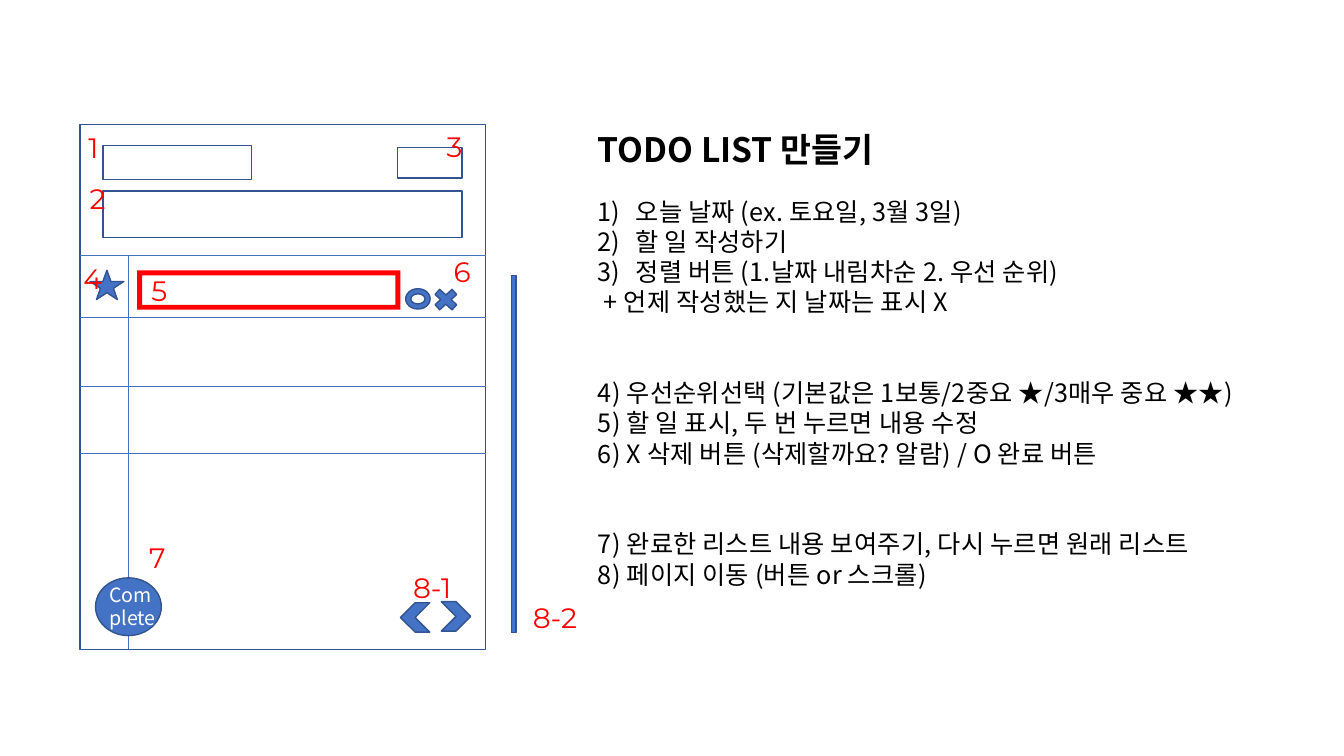
import pptx
import pptx.dml.color
import pptx.enum.shapes
import pptx.enum.text
import pptx.oxml.ns
import pptx.util
from lxml import etree

Pt = pptx.util.Pt
RGBColor = pptx.dml.color.RGBColor
SHAPE = pptx.enum.shapes.MSO_SHAPE
qn = pptx.oxml.ns.qn

BLUE = RGBColor(0x44, 0x72, 0xC4)
NAVY = RGBColor(0x32, 0x54, 0x91)
RED = RGBColor(0xFF, 0x00, 0x00)
BLACK = RGBColor(0x00, 0x00, 0x00)
WHITE = RGBColor(0xFF, 0xFF, 0xFF)

KOREAN = "Noto Sans CJK KR"
NUMERAL = "Montserrat"


def apply_formats(target, formats):
    for name, value in formats.items():
        setattr(target, name, value)


class Sketch:
    """Draws on one slide in the wireframe style; lengths are in points."""

    def __init__(self, slide):
        self.slide = slide

    def shape(self, kind, left, top, width, height, fill=None, line=NAVY, rotation=0):
        shape = self.slide.shapes.add_shape(
            kind, Pt(left), Pt(top), Pt(width), Pt(height))
        shape.shadow.inherit = False
        shape.rotation = rotation
        if fill is None:
            shape.fill.background()
        else:
            shape.fill.solid()
            shape.fill.fore_color.rgb = fill
        if line is None:
            shape.line.fill.background()
        else:
            shape.line.color.rgb = line
            shape.line.width = Pt(1)
        return shape

    def rule(self, x1, y1, x2, y2):
        connector = self.slide.shapes.add_connector(
            pptx.enum.shapes.MSO_CONNECTOR.STRAIGHT, Pt(x1), Pt(y1), Pt(x2), Pt(y2))
        connector.line.color.rgb = BLUE
        connector.line.width = Pt(0.5)
        properties = connector._element.find(qn("p:spPr"))
        etree.SubElement(properties, qn("a:effectLst"))
        return connector

    def text(self, left, top, width, height, lines, size, color,
             font=KOREAN, bold=False, leading=None, tracking=0):
        box = self.slide.shapes.add_textbox(Pt(left), Pt(top), Pt(width), Pt(height))
        frame = box.text_frame
        apply_formats(frame, {
            "word_wrap": True,
            "auto_size": pptx.enum.text.MSO_AUTO_SIZE.SHAPE_TO_FIT_TEXT,
        })
        for index, line in enumerate(lines):
            paragraph = frame.paragraphs[0] if index == 0 else frame.add_paragraph()
            if leading:
                paragraph.line_spacing = Pt(leading)
            run = paragraph.add_run()
            run.text = line
            apply_formats(run.font, {"name": font, "size": Pt(size), "bold": bold})
            run.font.color.rgb = color
            properties = run._r.get_or_add_rPr()
            if tracking:
                properties.set("spc", str(round(tracking * 100)))
            east_asian = etree.SubElement(properties, qn("a:ea"))
            east_asian.set("typeface", font)
        return frame.paragraphs

    def number(self, paragraph, indent):
        properties = paragraph._p.get_or_add_pPr()
        properties.set("marL", str(Pt(indent)))
        properties.set("indent", str(-Pt(indent)))
        numbering = etree.SubElement(properties, qn("a:buAutoNum"))
        numbering.set("type", "arabicParenR")


def draw_wireframe(sketch):
    # App window with its input boxes
    left, top, width, height = 57.25, 88.75, 289.75, 375
    right, bottom = left + width, top + height
    window = sketch.shape(SHAPE.RECTANGLE, left, top, width, height)
    for box in ((73.5, 136.5, 256.5, 33), (73.5, 103.75, 106, 24.5),
                (284, 105.25, 46, 22)):
        sketch.shape(SHAPE.RECTANGLE, *box)

    # List rows and the priority column
    list_top = 182.75
    for y in (list_top, 227, 324):
        sketch.rule(left, y, right, y)
    middle = top + height / 2
    middle_rule = sketch.rule(left, middle, right, middle)
    middle_rule.begin_connect(window, 1)
    middle_rule.end_connect(window, 3)
    sketch.rule(91.75, list_top, 91.75, bottom)

    # Icons, page buttons and scroll bar
    for kind, *place, rotation in (
            (SHAPE.OVAL, 68.25, 412.75, 47, 41.25, 0),
            (SHAPE.MATH_MULTIPLY, 306.75, 203.5, 23.5, 21, 0),
            (SHAPE.DONUT, 289.75, 206.25, 17.5, 14.5, 0),
            (SHAPE.STAR_5_POINT, 64.25, 193, 24.25, 21, 0),
            (SHAPE.RECTANGLE, 365.25, 196.75, 3.5, 255, 0),
            (SHAPE.CHEVRON, 315.25, 429.75, 21, 21, 0),
            (SHAPE.CHEVRON, 286, 430.5, 21, 21, 180)):
        sketch.shape(kind, *place, fill=BLUE, rotation=rotation)
    sketch.shape(SHAPE.FRAME, 98, 193.25, 188, 28, fill=RED, line=None)
    sketch.text(71, 412.5, 158.5, 41, ["Com", "plete"], 14, WHITE, leading=16.8)

    # Red reference numbers
    for label, x, y in (("1", 56, 90), ("2", 57, 126), ("3", 312, 89.25),
                        ("4", 52.5, 183), ("5", 101, 191.5), ("6", 317, 178),
                        ("7", 99.5, 382.25), ("8-1", 288, 404), ("8-2", 373.5, 425.5)):
        label_width = 42.5 if len(label) == 1 else 63.5
        sketch.text(x, y, label_width, 31.5, [label], 20, RED, font=NUMERAL)


def draw_description(sketch):
    sketch.text(420, 88.5, 233, 36, ["TODO LIST 만들기"], 24, BLACK,
                bold=True, leading=28.8)
    groups = [
        ["오늘 날짜 (ex. 토요일, 3월 3일)",
         "할 일 작성하기",
         "정렬 버튼 (1.날짜 내림차순 2. 우선 순위)",
         " + 언제 작성했는 지 날짜는 표시 X"],
        ["4) 우선순위선택 (기본값은 1보통/2중요 ★/3매우 중요 ★★)",
         "5) 할 일 표시, 두 번 누르면 내용 수정",
         "6) X 삭제 버튼 (삭제할까요? 알람) / O 완료 버튼"],
        ["7) 완료한 리스트 내용 보여주기, 다시 누르면 원래 리스트",
         "8) 페이지 이동 (버튼 or 스크롤)"],
    ]
    leading = 21.6
    paragraphs = sketch.text(420, 136.5, 500, 291, sum(groups, []), 18, BLACK,
                             leading=leading, tracking=0.15)

    # Two lines of space before each later group
    start = 0
    for group in groups[:-1]:
        start += len(group)
        paragraphs[start].space_before = Pt(2 * leading)
    for paragraph in paragraphs[:3]:
        sketch.number(paragraph, 27)


def main():
    presentation = pptx.Presentation()
    apply_formats(presentation, {"slide_width": Pt(960), "slide_height": Pt(540)})
    sketch = Sketch(presentation.slides.add_slide(presentation.slide_layouts[6]))
    draw_wireframe(sketch)
    draw_description(sketch)
    presentation.save("out.pptx")


if __name__ == "__main__":
    main()
